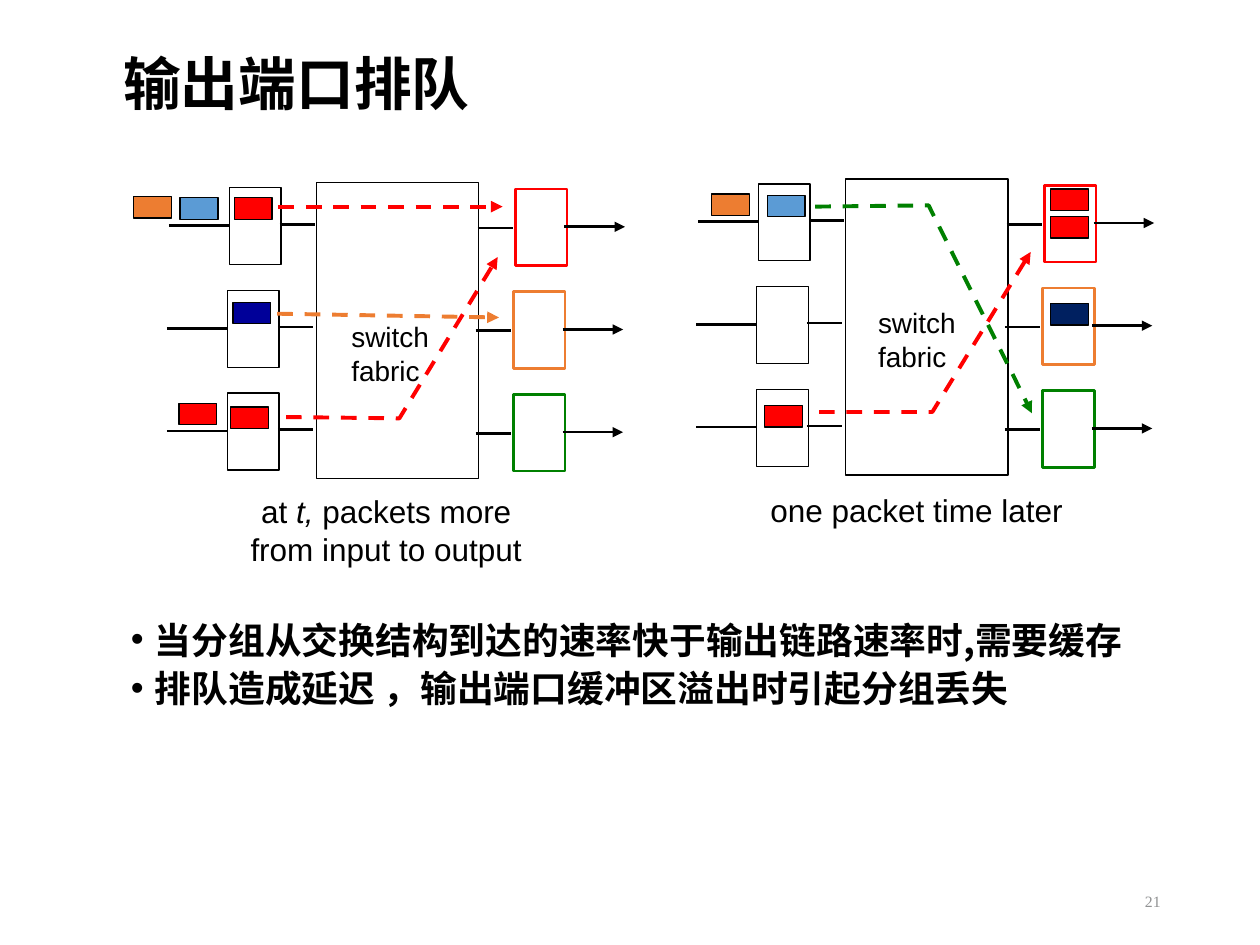
from dataclasses import dataclass

from lxml import etree
from pptx import Presentation
from pptx.dml.color import RGBColor
from pptx.enum.dml import MSO_LINE
from pptx.enum.shapes import MSO_CONNECTOR, MSO_SHAPE
from pptx.enum.text import MSO_ANCHOR, PP_ALIGN
from pptx.oxml.ns import qn
from pptx.util import Inches, Pt

RECT = MSO_SHAPE.RECTANGLE
STRAIGHT = MSO_CONNECTOR.STRAIGHT
DASH = MSO_LINE.DASH
LEFT, CENTER, RIGHT = PP_ALIGN.LEFT, PP_ALIGN.CENTER, PP_ALIGN.RIGHT
TOP, MIDDLE = MSO_ANCHOR.TOP, MSO_ANCHOR.MIDDLE

COLORS = {
    "black": "000000", "white": "FFFFFF", "gray": "919293", "red": "FF0000",
    "orange": "ED7D31", "green": "008000", "blue": "5B9BD5",
    "indigo": "000099", "navy": "002060",
}
CJK = "Noto Sans CJK SC"
PORT_COLORS = ("red", "orange", "green")
ROW_Y, ROW_GAP = 1.79, 0.815
PORT_W, PORT_H = 0.41, 0.61
PACKET_W, PACKET_H = 0.3, 0.17
PANEL_DX, PANEL_DY = 4.2, -0.03


@dataclass(frozen=True)
class Packet:
    x: float
    y: float
    color: str


@dataclass(frozen=True)
class Route:
    color: str
    points: tuple


PACKETS = (
    # first panel
    Packet(1.06, 1.56, "orange"), Packet(1.43, 1.57, "blue"),
    Packet(1.86, 1.57, "red"), Packet(1.85, 2.4, "indigo"),
    Packet(1.42, 3.2, "red"), Packet(1.83, 3.23, "red"),
    # second panel
    Packet(5.65, 1.54, "orange"), Packet(6.09, 1.55, "blue"),
    Packet(6.07, 3.22, "red"), Packet(8.34, 1.5, "red"),
    Packet(8.34, 1.72, "red"), Packet(8.34, 2.41, "navy"),
)
ROUTES = (
    Route("red", ((2.21, 1.64), (3.99, 1.64))),
    Route("red", ((2.27, 3.31), (3.17, 3.32), (3.95, 2.04))),
    Route("orange", ((2.2, 2.49), (3.96, 2.52))),
    Route("red", ((6.5, 3.27), (7.4, 3.27), (8.18, 2))),
    Route("green", ((6.47, 1.64), (7.37, 1.63), (8.19, 3.28))),
)


def rgb(name: str) -> RGBColor:
    return RGBColor.from_string(COLORS[name])


def add_box(s, x: float, y: float, w: float, h: float, fill: str = "white",
            line: str = "black", width: float = 0.75) -> None:
    sp = s.shapes.add_shape(RECT, Inches(x), Inches(y), Inches(w), Inches(h))
    sp.shadow.inherit = False
    sp.fill.solid()
    sp.fill.fore_color.rgb = rgb(fill)
    sp.line.color.rgb = rgb(line)
    sp.line.width = Pt(width)


def style_line(sp, color: str, width: float, arrow: bool) -> None:
    sp.line.color.rgb = rgb(color)
    sp.line.width = Pt(width)
    if arrow:
        ln = sp.line._get_or_add_ln()
        etree.SubElement(ln, qn("a:tailEnd"), type="triangle")


def add_line(s, x1: float, y1: float, x2: float, y2: float,
             color: str = "black", width: float = 1.5, arrow: bool = False):
    sp = s.shapes.add_connector(STRAIGHT, Inches(x1), Inches(y1),
                                Inches(x2), Inches(y2))
    style_line(sp, color, width, arrow)
    etree.SubElement(sp._element.spPr, qn("a:effectLst"))
    return sp


def add_route(s, route: Route) -> None:
    """Draw a dashed arrow, bent where the route has more than two points."""
    if len(route.points) == 2:
        start, end = route.points
        sp = add_line(s, *start, *end, route.color, 2.25, arrow=True)
    else:
        points = [(Inches(x), Inches(y)) for x, y in route.points]
        builder = s.shapes.build_freeform(*points[0])
        builder.add_line_segments(points[1:], close=False)
        sp = builder.convert_to_shape()
        sp.shadow.inherit = False
        sp.fill.background()
        style_line(sp, route.color, 2.25, arrow=True)
    sp.line.dash_style = DASH


def add_bullet(p) -> None:
    pPr = p._p.get_or_add_pPr()
    pPr.set("marL", str(Inches(0.19)))
    pPr.set("indent", str(Inches(-0.19)))
    etree.SubElement(pPr, qn("a:buFont"), typeface="Arial")
    etree.SubElement(pPr, qn("a:buChar"), char="•")


def add_text(s, x: float, y: float, w: float, h: float, paragraphs: list, *,
             size: float, font: str = "Arial", color: str = "black",
             bold: bool = False, align=LEFT, anchor=TOP, wrap: bool = True,
             spacing: float = 1.0, before: float = 0, bullet: bool = False,
             italic: str = "") -> None:
    """Each paragraph is a list of runs; the run equal to `italic` is slanted."""
    tf = s.shapes.add_textbox(Inches(x), Inches(y), Inches(w),
                              Inches(h)).text_frame
    tf.word_wrap = wrap
    tf.vertical_anchor = anchor
    for i, runs in enumerate(paragraphs):
        p = tf.add_paragraph() if i else tf.paragraphs[0]
        if bullet:
            add_bullet(p)
        p.alignment = align
        p.line_spacing = spacing
        p.space_before = Pt(before if i else 0)
        for text in runs:
            r = p.add_run()
            r.text = text
            r.font.size = Pt(size)
            r.font.name = font
            r.font.bold = bold
            r.font.italic = text == italic
            r.font.color.rgb = rgb(color)
            etree.SubElement(r._r.get_or_add_rPr(), qn("a:ea"), typeface=font)


def add_switch(s, dx: float, dy: float) -> None:
    """Draw the fabric with three input ports, three output ports and links."""
    add_box(s, 2.51 + dx, 1.45 + dy, 1.29, 2.35)
    for i, color in enumerate(PORT_COLORS):
        x = dx - (0.015 if i else 0)
        y = ROW_Y + i * ROW_GAP + dy
        add_box(s, 1.82 + x, y - 0.3, PORT_W, PORT_H)
        add_box(s, 4.09 + x, y - 0.29, PORT_W, PORT_H, line=color, width=1.5)
        add_line(s, 1.34 + x, y, 1.82 + x, y)
        add_line(s, 2.22 + x, y - 0.01, 2.5 + x, y - 0.01)
        add_line(s, 3.79 + x, y + 0.02, 4.07 + x, y + 0.02)
        add_line(s, 4.48 + x, y + 0.01, 4.96 + x, y + 0.01, arrow=True)


def main() -> None:
    prs = Presentation()
    prs.slide_width, prs.slide_height = Inches(10), Inches(7.5)
    s = prs.slides.add_slide(prs.slide_layouts[6])

    add_text(s, 0.88, 0.31, 7.3, 0.76, [["输出端口排队"]], size=33, font=CJK,
             bold=True, anchor=MIDDLE, spacing=0.9)
    add_text(s, 0.94, 4.92, 8.86, 1.44,
             [["当分组从交换结构到达的速率快于输出链路速率时,需要缓存"],
              ["排队造成延迟 ，输出端口缓冲区溢出时引起分组丢失"]],
             size=21, font=CJK, bold=True, spacing=0.8, before=7.5, bullet=True)
    add_text(s, 7.06, 6.95, 2.25, 0.4, [["21"]], size=9,
             font="Times New Roman", color="gray", align=RIGHT, anchor=MIDDLE)

    add_switch(s, 0, 0)
    add_switch(s, PANEL_DX, PANEL_DY)
    for packet in PACKETS:
        add_box(s, packet.x, packet.y, PACKET_W, PACKET_H, fill=packet.color)
    for route in ROUTES:
        add_route(s, route)

    for x, y in ((2.69, 2.49), (6.87, 2.38)):
        add_text(s, x, y, 0.82, 0.64, [["switch"], ["fabric"]], size=16,
                 wrap=False)
    add_text(s, 1.72, 3.86, 2.69, 0.7,
             [["at ", "t,", " packets more"], ["from input to output"]],
             size=18, align=CENTER, italic="t,")
    add_text(s, 5.93, 3.85, 2.69, 0.4, [["one packet time later"]], size=18,
             align=CENTER)
    prs.save("out.pptx")


if __name__ == "__main__":
    main()
